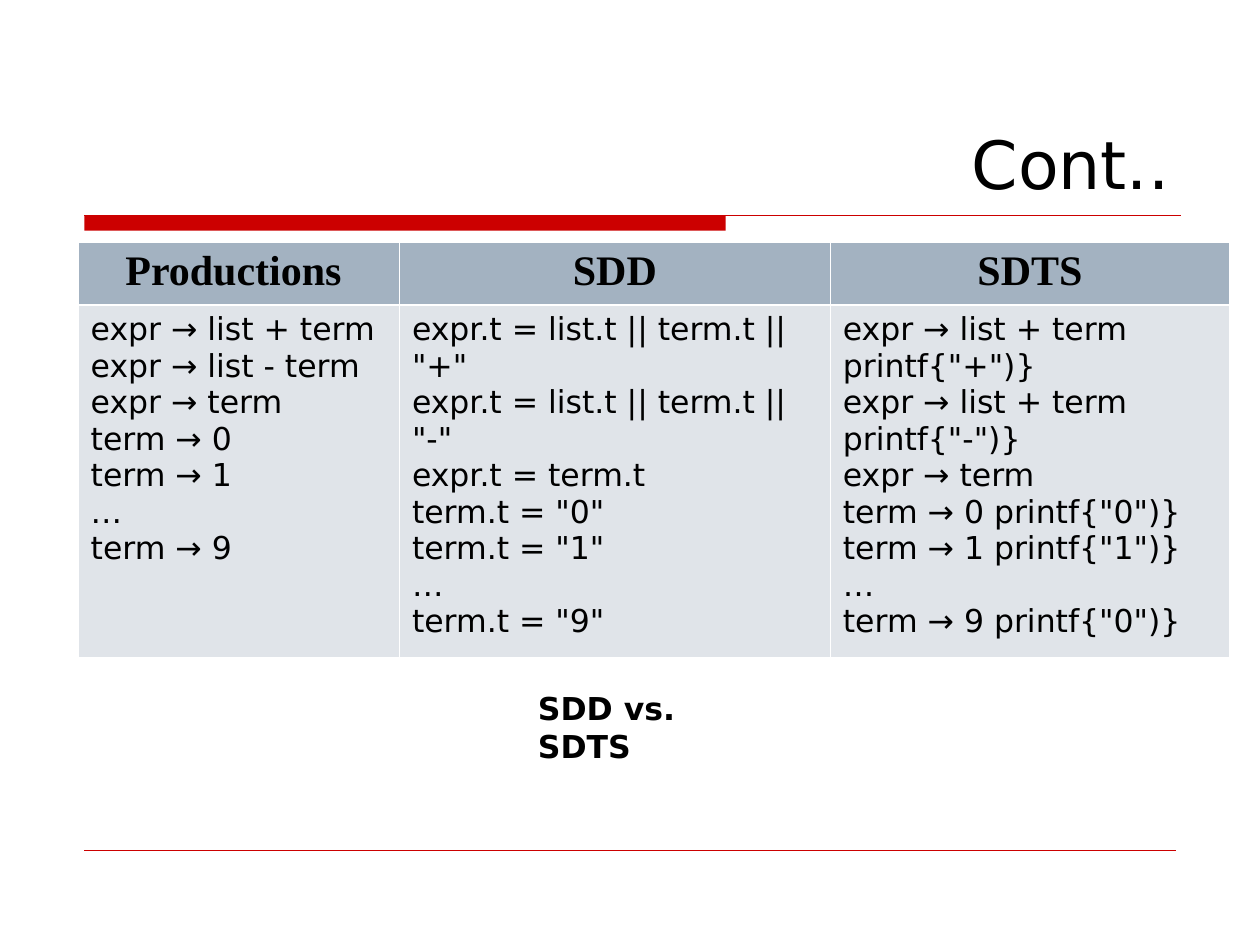
from pptx import Presentation
from pptx.dml.color import RGBColor
from pptx.enum.shapes import MSO_CONNECTOR, MSO_SHAPE
from pptx.enum.text import MSO_ANCHOR, PP_ALIGN
from pptx.oxml.ns import qn
from pptx.util import Inches, Pt
from lxml.etree import SubElement

RED = "CC0000"
BLACK = "000000"
WHITE = "FFFFFF"
HEADER_FILL = "A3B2C1"
BODY_FILL = "E0E4E9"
SANS = "DejaVu Sans"
SERIF = "Times New Roman"

COLUMN_WIDTHS = [2.55, 3.42, 3.17]
ROW_HEIGHTS = [0.5, 2.8]
COMPARISON = [
    ["Productions ", "SDD", "SDTS"],
    [
        "expr → list + term\nexpr → list - term\nexpr → term\n"
        "term → 0\nterm → 1\n…\nterm → 9",
        'expr.t = list.t || term.t || "+"\nexpr.t = list.t || term.t || "-"\n'
        'expr.t = term.t\nterm.t = "0"\nterm.t = "1"\n…\nterm.t = "9"',
        'expr → list + term\nprintf{"+")}\nexpr → list + term printf{"-")}\n'
        'expr → term\nterm → 0 printf{"0")}\nterm → 1 printf{"1")}\n…\n'
        'term → 9 printf{"0")}',
    ],
]


def rgb(color):
    return RGBColor.from_string(color)


def write(frame, text, size, font=SANS, bold=False, align=PP_ALIGN.LEFT):
    frame.text = text
    for paragraph in frame.paragraphs:
        paragraph.alignment = align
        paragraph.font.size = Pt(size)
        paragraph.font.name = font
        paragraph.font.bold = bold
        paragraph.font.color.rgb = rgb(BLACK)


def add_rule(slide, left, top, width, weight):
    rule = slide.shapes.add_connector(
        MSO_CONNECTOR.STRAIGHT,
        Inches(left), Inches(top), Inches(left + width), Inches(top),
    )
    rule.line.color.rgb = rgb(RED)
    rule.line.width = Pt(weight)
    SubElement(rule._element.spPr, qn("a:effectLst"))


def add_title_bar(slide, left, top, width, height):
    bar = slide.shapes.add_shape(
        MSO_SHAPE.RECTANGLE,
        Inches(left), Inches(top), Inches(width * 0.585), Inches(height),
    )
    bar.shadow.inherit = False
    bar.fill.solid()
    bar.fill.fore_color.rgb = rgb(RED)
    bar.line.fill.background()
    add_rule(slide, left, top, width, 0.75)


def add_text(slide, left, top, width, height, text, size,
             bold=False, align=PP_ALIGN.LEFT, anchor=MSO_ANCHOR.TOP):
    box = slide.shapes.add_textbox(
        Inches(left), Inches(top), Inches(width), Inches(height)
    )
    frame = box.text_frame
    frame.word_wrap = True
    frame.vertical_anchor = anchor
    write(frame, text, size, bold=bold, align=align)


def set_borders(cell, weights):
    properties = cell._tc.get_or_add_tcPr()
    for side, weight in weights.items():
        border = SubElement(properties, qn(f"a:ln{side}"), w=str(Pt(weight)))
        fill = SubElement(border, qn("a:solidFill"))
        SubElement(fill, qn("a:srgbClr"), val=WHITE)


def add_comparison(slide, left, top, width, height):
    table = slide.shapes.add_table(
        len(ROW_HEIGHTS), len(COLUMN_WIDTHS),
        Inches(left), Inches(top), Inches(width), Inches(height),
    ).table
    for column, column_width in zip(table.columns, COLUMN_WIDTHS):
        column.width = Inches(column_width)
    for row, row_height in zip(table.rows, ROW_HEIGHTS):
        row.height = Inches(row_height)
    for row_index, texts in enumerate(COMPARISON):
        header = row_index == 0
        for column_index, text in enumerate(texts):
            cell = table.cell(row_index, column_index)
            set_borders(cell, {
                "L": 0.45,
                "R": 0.45,
                "T": 0.45 if header else 1.47,
                "B": 1.47 if header else 0.45,
            })
            cell.fill.solid()
            cell.fill.fore_color.rgb = rgb(HEADER_FILL if header else BODY_FILL)
            if header:
                write(cell.text_frame, text, 24, SERIF, True, PP_ALIGN.CENTER)
            else:
                write(cell.text_frame, text, 18)


def main():
    presentation = Presentation()
    presentation.slide_width = Inches(10)
    presentation.slide_height = Inches(7.5)
    slide = presentation.slides.add_slide(presentation.slide_layouts[6])
    add_title_bar(slide, 0.67, 1.71, 8.7, 0.12)
    add_rule(slide, 0.67, 6.75, 8.66, 0.25)
    add_text(slide, 0.63, 0.33, 8.75, 1.33, "Cont..", 38,
             align=PP_ALIGN.RIGHT, anchor=MSO_ANCHOR.BOTTOM)
    add_comparison(slide, 0.62, 1.92, sum(COLUMN_WIDTHS), sum(ROW_HEIGHTS))
    add_text(slide, 4.17, 5.42, 1.78, 0.4, "SDD vs. SDTS", 18, bold=True)
    presentation.save("out.pptx")


if __name__ == "__main__":
    main()
